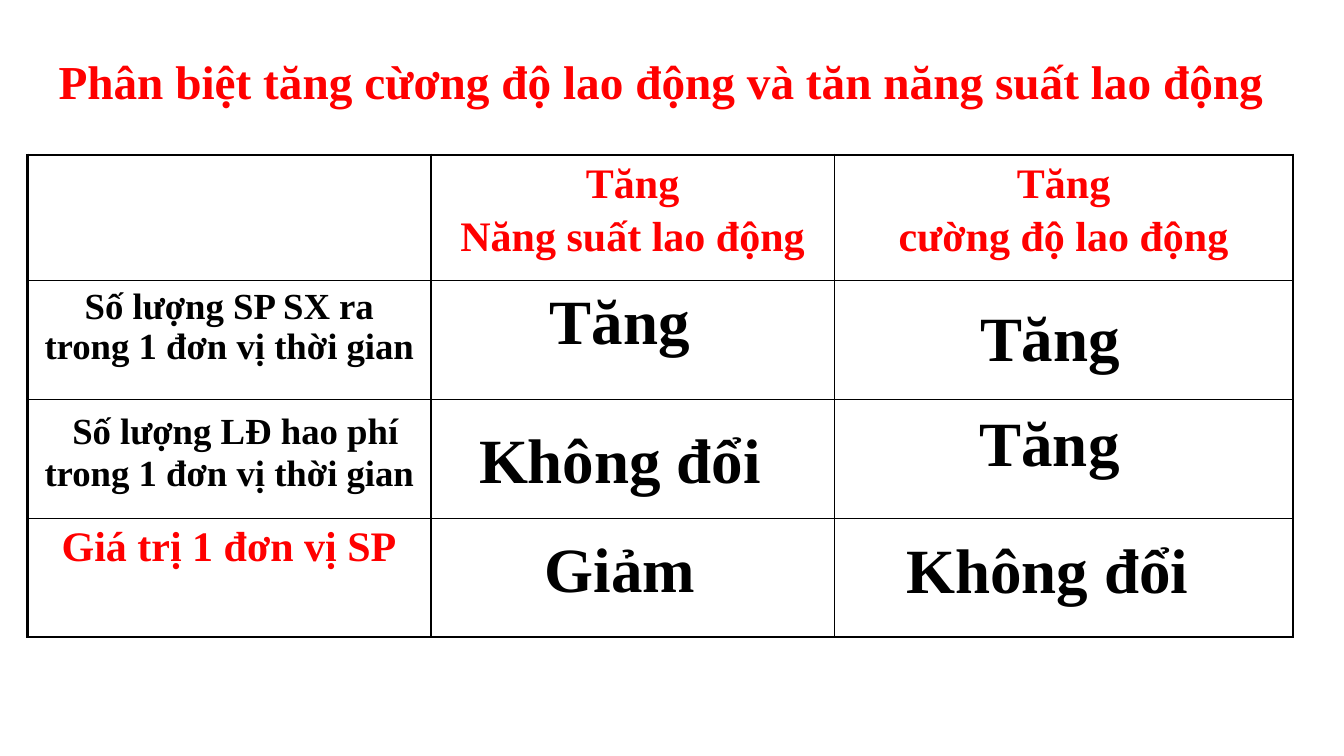
from lxml.etree import SubElement
from pptx import Presentation
from pptx.dml.color import RGBColor
from pptx.enum.shapes import MSO_SHAPE as Shape
from pptx.enum.text import MSO_ANCHOR as Anchor, MSO_AUTO_SIZE as AutoSize, PP_ALIGN as Align
from pptx.oxml.ns import qn
from pptx.util import Inches, Pt

RED = RGBColor(0xFF, 0, 0)
BLACK = RGBColor(0, 0, 0)
WHITE = RGBColor(0xFF, 0xFF, 0xFF)
SERIF = "Times New Roman"
COLUMNS = [4.27, 4.27, 4.85]
ROWS = [1.33, 1.26, 1.26, 1.25]


def style(para, size, color):
    para.alignment = Align.CENTER
    for span in para.runs:
        span.font.name = SERIF
        span.font.size = Pt(size)
        span.font.bold = True
        span.font.color.rgb = color


def add_border(cell, side, width):
    line = SubElement(cell._tc.get_or_add_tcPr(), qn(f"a:ln{side}"), w=str(Pt(width)))
    fill = SubElement(line, qn("a:solidFill"))
    SubElement(fill, qn("a:srgbClr"), val=str(BLACK))


deck = Presentation()
deck.slide_width, deck.slide_height = Inches(14.22), Inches(8)
page = deck.slides.add_slide(deck.slide_layouts[5])

# Title
title = page.shapes.title
title.left, title.top = Inches(0.18), Inches(0.5)
title.width, title.height = Inches(13.5), Inches(0.71)
frame = title.text_frame
frame.text = " Phân biệt tăng cừơng độ lao động và tăn năng suất lao động"
frame.word_wrap = True
frame.auto_size = AutoSize.NONE
frame.vertical_anchor = Anchor.TOP
style(frame.paragraphs[0], 36, RED)

# Comparison table: (text, size, colour) by row and column
labels = {
    (0, 1): ("Tăng\nNăng suất lao động", 32, RED),
    (0, 2): ("Tăng\ncường độ lao động", 32, RED),
    (1, 0): ("Số lượng SP SX ra trong 1 đơn vị thời gian", 28, BLACK),
    (2, 0): ("Số lượng LĐ hao phí trong 1 đơn vị thời gian", 28, BLACK),
    (3, 0): ("Giá trị 1 đơn vị SP", 32, RED),
}
table = page.shapes.add_table(
    len(ROWS), len(COLUMNS), Inches(0.29), Inches(1.64),
    Inches(sum(COLUMNS)), Inches(sum(ROWS))).table
for column, width in zip(table.columns, COLUMNS):
    column.width = Inches(width)
for row, height in zip(table.rows, ROWS):
    row.height = Inches(height)

for r in range(len(ROWS)):
    for c in range(len(COLUMNS)):
        cell = table.cell(r, c)
        cell.margin_left = cell.margin_right = Inches(0.12)
        cell.margin_top = cell.margin_bottom = Inches(0.06)
        outer = {"L": c == 0, "R": c == len(COLUMNS) - 1,
                 "T": r == 0, "B": r == len(ROWS) - 1}
        for side, is_outer in outer.items():
            add_border(cell, side, 2.25 if is_outer else 1)
        cell.fill.solid()
        cell.fill.fore_color.rgb = WHITE
        if (r, c) in labels:
            text, size, color = labels[r, c]
            cell.text_frame.text = text
            for i, para in enumerate(cell.text_frame.paragraphs):
                style(para, size, color)
                if i:
                    para.space_before = Pt(5)

# The label on labour spent opens with a larger space that lowers its first line
para = table.cell(2, 0).text_frame.paragraphs[0]
label = para.runs[0].text
para.text = " "
para.add_run().text = label
style(para, 28, BLACK)
para.runs[0].font.name = "Arial"
para.runs[0].font.size = Pt(33)
para.runs[0].font.bold = False

# Answers laid over the table: text, left, top, width
answers = [
    ("Tăng", 4.51, 2.92, 4.1),
    ("Tăng", 9.25, 3.1, 3.72),
    ("Không đổi", 4.51, 4.39, 4.1),
    ("Tăng", 8.77, 4.22, 4.67),
    ("Giảm", 4.51, 5.55, 4.1),
    ("Không đổi", 9.02, 5.56, 4.12),
]
for text, left, top, width in answers:
    box = page.shapes.add_shape(
        Shape.FLOWCHART_PROCESS, Inches(left), Inches(top), Inches(width), Inches(0.91))
    box.shadow.inherit = False
    box.fill.background()
    box.line.fill.background()
    box.text_frame.text = text
    box.text_frame.word_wrap = True
    box.text_frame.vertical_anchor = Anchor.MIDDLE
    style(box.text_frame.paragraphs[0], 48, BLACK)

deck.save("out.pptx")
